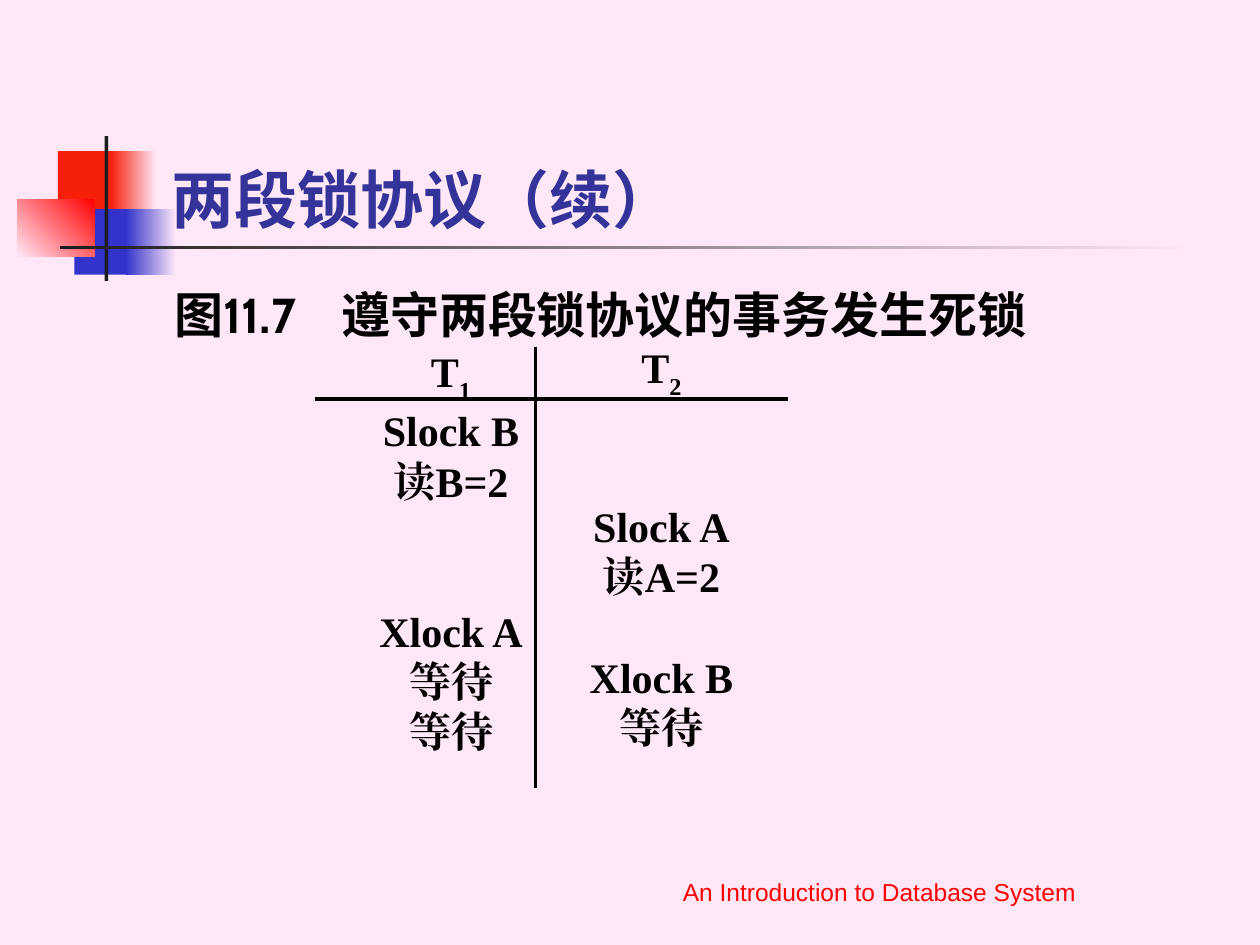
import pptx
import pptx.util
import pptx.dml.color
import pptx.enum.dml
import pptx.enum.shapes
import pptx.enum.text
import lxml.etree

HUE = {
    "back": "FEE8F7", "orange": "F6200A", "blue": "3333CC", "red": "FF0000",
    "dark": "1C1C1C", "title": "333399", "ink": "000000",
}
COLS, ROWS = 100, 75
WIDE, HIGH = pptx.util.Inches(10), pptx.util.Inches(7.5)
BLANK = 28.5  # points left free for each skipped step
Pt = pptx.util.Pt
ALIGN = pptx.enum.text.PP_ALIGN
ANCHOR = pptx.enum.text.MSO_ANCHOR


def rgb(name):
    return pptx.dml.color.RGBColor.from_string(HUE[name])


def place(box, col=0, row=0):
    """Turn a grid point inside a box into slide lengths."""
    return int((box[0] + col) * WIDE / COLS), int((box[1] + row) * HIGH / ROWS)


def span(wide, high):
    return place((0, 0), wide, high)


def tag(parent, name, **attrs):
    return lxml.etree.SubElement(parent, pptx.oxml.ns.qn(name), **attrs)


def block(slide, box, part, hues, angle=180):
    """Draw a plain or two-colour rectangle."""
    col, row, wide, high = part
    shape = slide.shapes.add_shape(
        pptx.enum.shapes.MSO_SHAPE.RECTANGLE, *place(box, col, row), *span(wide, high))
    shape.shadow.inherit = False
    shape.line.fill.background()
    if len(hues) == 1:
        shape.fill.solid()
        shape.fill.fore_color.rgb = rgb(hues[0])
        return
    shape.fill.gradient()
    shape.fill.gradient_angle = angle
    for stop, hue, pos in zip(shape.fill.gradient_stops, hues, (0, 1)):
        stop.color.rgb = rgb(hue)
        stop.position = pos


def rule(slide, start, end):
    line = slide.shapes.add_connector(
        pptx.enum.shapes.MSO_CONNECTOR.STRAIGHT, *start, *end)
    line.line.color.rgb = rgb("ink")
    line.line.width = Pt(2.25)
    tag(line._element.spPr, "a:effectLst")


def style(run, face, size, hue, bold=True):
    font = run.font
    font.name, font.size, font.bold = face, Pt(size), bold
    font.color.rgb = rgb(hue)
    tag(font._element, "a:ea", typeface=face)


def label(slide, box, text, anchor, wrap=True):
    """Add a text box and return its text frame."""
    area = slide.shapes.add_textbox(*place(box), *span(*box[2:]))
    frame = area.text_frame
    frame.word_wrap = wrap
    frame.vertical_anchor = anchor
    frame.text = text
    return frame


def emblem(slide, box):
    """Draw the overlapping squares and the crossed bars."""
    parts = [
        ((3.2, 1.2, 4.8, 5.2), ["orange"]),
        ((7.4, 1.2, 3.6, 5.2), ["back", "orange"]),
        ((4.5, 5.8, 4.6, 5.2), ["blue"]),
        ((8.6, 5.8, 4, 5.2), ["back", "blue"]),
        ((0, 5, 6.1, 4.6), ["red", "back"], 225),
        ((6.9, 0, 0.3, 11.5), ["dark"]),
        ((3.4, 8.7, 90, 0.3), ["back", "dark"]),
    ]
    for part in parts:
        block(slide, box, *part)


def heading(slide, box):
    frame = label(slide, box, "两段锁协议（续）", ANCHOR.BOTTOM)
    style(frame.paragraphs[0].runs[0], "Cabin", 36, "title")


def caption(slide, box):
    frame = label(slide, box, "图11.7\t遵守两段锁协议的事务发生死锁", ANCHOR.TOP)
    para = frame.paragraphs[0]
    tabs = tag(para._p.get_or_add_pPr(), "a:tabLst")
    tag(tabs, "a:tab", pos=str(pptx.util.Inches(1.32)), algn="l")
    for run in para.runs:
        style(run, "Cabin", 28, "ink")


def steps(slide, box, index, groups):
    """Write one transaction: each group is (skipped steps, lines)."""
    frame = label(slide, box, "T", ANCHOR.TOP, wrap=False)
    head = frame.paragraphs[0]
    sub = head.add_run()
    sub.text = index
    for skip, lines in groups:
        for pos, line in enumerate(lines):
            para = frame.add_paragraph()
            para.text = line
            if skip and pos == 0:
                para.space_before = Pt(skip * BLANK)
    for para in frame.paragraphs:
        para.alignment = ALIGN.CENTER
        for run in para.runs:
            style(run, "Times New Roman", 24, "ink")
    sub.font._element.set("baseline", "-30000")


def schedule(slide, box):
    """Set both transactions side by side between crossed rules."""
    left, top, wide, high = box
    steps(slide, (left + 4.1, top - 0.6, 13.4, 37), "1",
          [(0, ["Slock B", "读B=2"]), (2, ["Xlock A", "等待", "等待"])])
    steps(slide, (left + 20.8, top - 0.9, 13.4, 37), "2",
          [(2, ["Slock A", "读A=2"]), (1, ["Xlock B", "等待"])])
    rule(slide, place(box, 0, 4.2), place(box, wide, 4.2))
    rule(slide, place(box, 17.5, 0), place(box, 17.5, high))


def footer(slide, box):
    frame = label(slide, box, "An Introduction to Database System", ANCHOR.BOTTOM)
    para = frame.paragraphs[0]
    para.alignment = ALIGN.CENTER
    style(para.runs[0], "Arial", 14, "red", bold=False)


def main():
    deck = pptx.Presentation()
    deck.slide_width, deck.slide_height = WIDE, HIGH
    slide = deck.slides.add_slide(deck.slide_layouts[6])
    slide.background.fill.solid()
    slide.background.fill.fore_color.rgb = rgb("back")
    emblem(slide, (1.4, 10.8))
    heading(slide, (12.6, 6.7, 85.2, 12.5))
    caption(slide, (12.9, 22.1, 85, 45))
    schedule(slide, (25, 27.5, 37.5, 35))
    footer(slide, (43.7, 67.4, 52.2, 5))
    deck.save("out.pptx")


if __name__ == "__main__":
    main()
